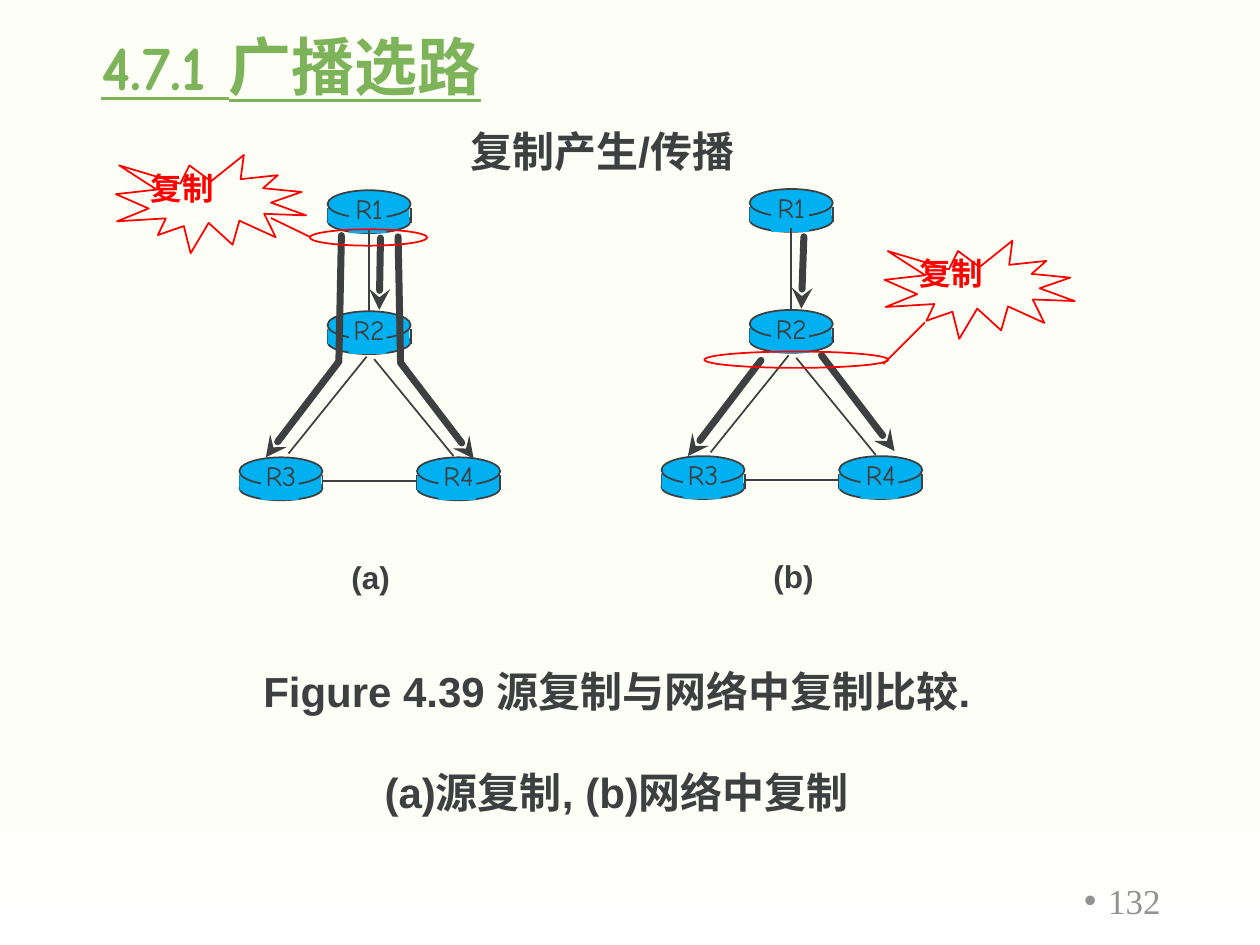
from lxml.etree import SubElement
from pptx import Presentation
from pptx.dml.color import RGBColor
from pptx.enum.shapes import MSO_CONNECTOR as Link, MSO_SHAPE as Preset
from pptx.enum.text import MSO_ANCHOR as Anchor, MSO_AUTO_SIZE as Fit, PP_ALIGN as Align
from pptx.oxml.ns import qn
from pptx.util import Inches, Pt

DARK, BLUE, RED, GREEN, GREY = "3D3F41", "00B0F0", "FF0000", "7DB359", "919293"
HEADING = {"name": "Arial", "size": Pt(24), "bold": True}
CAPTION = {"name": "Arial", "size": Pt(18), "bold": True}
ROUTER_LABEL = {"name": "Comic Neue", "size": Pt(16)}
TITLE = {"name": "Comic Neue", "size": Pt(36), "bold": True, "underline": True}
ROUTERS = {"R1": (0.7, 0), "R2": (0.7, 0.96), "R3": (0, 2.12), "R4": (1.41, 2.12)}
LINKS = [
    [(1.03, 0.31), (1.03, 0.96)],
    [(1.01, 1.32), (0.39, 2.09)],
    [(1.07, 1.34), (1.7, 2.11)],
    [(0.66, 2.31), (1.41, 2.31)],
]
SOURCE_FLOWS = [
    [(1.12, 0.38), (1.11, 0.95)],
    [(1.26, 0.37), (1.28, 1.37), (1.86, 2.13)],
    [(0.81, 0.36), (0.79, 1.36), (0.21, 2.12)],
]
NETWORK_FLOWS = [
    [(1.13, 0.38), (1.11, 0.95)],
    [(1.27, 1.32), (1.85, 2.08)],
    [(0.79, 1.36), (0.21, 2.12)],
]


def rgb(value):
    """Turn a hex string into a colour."""
    return RGBColor.from_string(value)


def inches(*lengths):
    """Convert numbers to lengths in inches."""
    return [Inches(length) for length in lengths]


def format_font(font, style, color):
    """Apply a dict of font values and a colour."""
    for name, value in style.items():
        setattr(font, name, value)
    font.color.rgb = rgb(color)


def add_text(page, box, text, style, color=DARK, align=Align.CENTER, wrap=False):
    """Add a one-paragraph text box and return its frame."""
    frame = page.shapes.add_textbox(*inches(*box)).text_frame
    frame.word_wrap = wrap
    para = frame.paragraphs[0]
    para.text, para.alignment = text, align
    format_font(para.runs[0].font, style, color)
    return frame


def add_solid(page, preset, box, fill=None, line=None):
    """Add a preset shape with an optional fill and outline."""
    shape = page.shapes.add_shape(preset, *inches(*box))
    shape.shadow.inherit = False
    if fill:
        shape.fill.solid()
        shape.fill.fore_color.rgb = rgb(fill)
    else:
        shape.fill.background()
    if line:
        shape.line.color.rgb = rgb(line)
        shape.line.width = Pt(1)
    else:
        shape.line.fill.background()


def add_line(page, points, color=DARK, width=1, arrow=False):
    """Draw a connector through two points or an open outline through more."""
    spots = [inches(*point) for point in points]
    if len(spots) == 2:
        shape = page.shapes.add_connector(Link.STRAIGHT, *spots[0], *spots[1])
    else:
        builder = page.shapes.build_freeform(*spots[0])
        builder.add_line_segments(spots[1:], close=False)
        shape = builder.convert_to_shape()
        shape.fill.background()
    shape.line.color.rgb = rgb(color)
    shape.line.width = Pt(width)
    properties = shape._element.spPr
    if arrow:
        outline = properties.find(qn("a:ln"))
        outline.set("cap", "rnd")
        SubElement(outline, qn("a:round"))
        SubElement(outline, qn("a:tailEnd"), type="stealth")
    SubElement(properties, qn("a:effectLst"))


def add_router(page, left, top, label):
    """Build a labelled router cylinder."""
    add_solid(page, Preset.OVAL, (left, top + 0.15, 0.66, 0.19), BLUE, DARK)
    for side in (left, left + 0.66):
        add_line(page, [(side, top + 0.14), (side, top + 0.26)])
    add_solid(page, Preset.RECTANGLE, (left, top + 0.14, 0.65, 0.12), BLUE)
    add_solid(page, Preset.OVAL, (left, top, 0.66, 0.22), BLUE, DARK)
    add_solid(page, Preset.RECTANGLE, (left + 0.17, top + 0.03, 0.3, 0.31), BLUE)
    add_text(page, (left + 0.1, top - 0.04, 0.46, 0.37), label, ROUTER_LABEL)


def add_network(page, left, top, caption, flows):
    """Build one panel: routers, links, packet flows and caption."""
    def shift(points):
        return [(left + x, top + y) for x, y in points]

    for label, (x, y) in ROUTERS.items():
        add_router(page, left + x, top + y, label)
    for link in LINKS:
        add_line(page, shift(link))
    for flow in flows:
        add_line(page, shift(flow), width=4, arrow=True)
    add_text(page, (left + 0.79, top + 2.87, 0.52, 0.4), caption, CAPTION, align=Align.LEFT)


def add_callout(page, left, top, ring, pointer):
    """Build a red burst, its label, and the ring it points to."""
    add_solid(page, Preset.EXPLOSION1, (left, top, 1.51, 0.78), line=RED)
    add_text(page, (left + 0.18, top + 0.06, 0.7, 0.4), "复制", CAPTION, RED, Align.LEFT)
    add_solid(page, Preset.OVAL, ring, line=RED)
    add_line(page, pointer, RED)


def add_title(page, box, text):
    """Place and format the title placeholder."""
    title = page.shapes.title
    title.left, title.top, title.width, title.height = inches(*box)
    frame = title.text_frame
    frame.text = text
    frame.auto_size, frame.vertical_anchor = Fit.NONE, Anchor.MIDDLE
    para = frame.paragraphs[0]
    para.alignment = Align.CENTER
    format_font(para.runs[0].font, TITLE, GREEN)


def add_figure_caption(page, box):
    """Write the two-line figure caption."""
    frame = add_text(page, box, "Figure 4.39 源复制与网络中复制比较.", HEADING)
    para = frame.add_paragraph()
    para.alignment, para.space_before = Align.CENTER, Pt(29)
    parts = [("(a)", "Arial"), ("源复制", "Comic Neue"), (", (b)", "Arial"), ("网络中复制", "Comic Neue")]
    for text, name in parts:
        span = para.add_run()
        span.text = text
        format_font(span.font, {**HEADING, "name": name}, DARK)


def add_page_number(page, box, number):
    """Write the bulleted page number."""
    style = {"name": "Times New Roman", "size": Pt(20)}
    frame = add_text(page, box, number, style, GREY, Align.RIGHT, wrap=True)
    frame.vertical_anchor = Anchor.MIDDLE
    properties = frame.paragraphs[0]._p.get_or_add_pPr()
    properties.set("marL", str(Inches(0.19)))
    properties.set("indent", str(Inches(-0.19)))
    SubElement(properties, qn("a:buFont"), typeface="Arial")
    SubElement(properties, qn("a:buChar"), char="•")


def paint_background(page):
    """Fade the background from ivory to white at the foot."""
    fill = page.background.fill
    fill.gradient()
    fill.gradient_angle = 270
    for stop, position, color in zip(fill.gradient_stops, (0.84, 1), ("FDFFF7", "FFFFFF")):
        stop.position = position
        stop.color.rgb = rgb(color)


def main():
    """Build and save the broadcast routing slide."""
    deck = Presentation()
    deck.slide_width, deck.slide_height = inches(10, 7.5)
    page = deck.slides.add_slide(deck.slide_layouts[5])
    paint_background(page)
    add_title(page, (0, 0.17, 4.62, 0.7), "4.7.1 广播选路")
    add_page_number(page, (7.06, 6.95, 2.25, 0.4), "132")
    add_figure_caption(page, (1.89, 5.23, 6.01, 1.3))
    add_text(page, (3.63, 0.95, 2.3, 0.9), "复制产生/传播", HEADING, wrap=True)
    add_network(page, 1.9, 1.51, "(a)", SOURCE_FLOWS)
    add_network(page, 5.25, 1.5, "(b)", NETWORK_FLOWS)
    add_callout(page, 0.92, 1.23, (2.46, 1.82, 0.93, 0.13), [(2.46, 1.88), (2.15, 1.73)])
    add_callout(page, 7.02, 1.91, (5.59, 2.79, 1.46, 0.13), [(7.34, 2.56), (7.01, 2.89)])
    deck.save("out.pptx")


if __name__ == "__main__":
    main()
